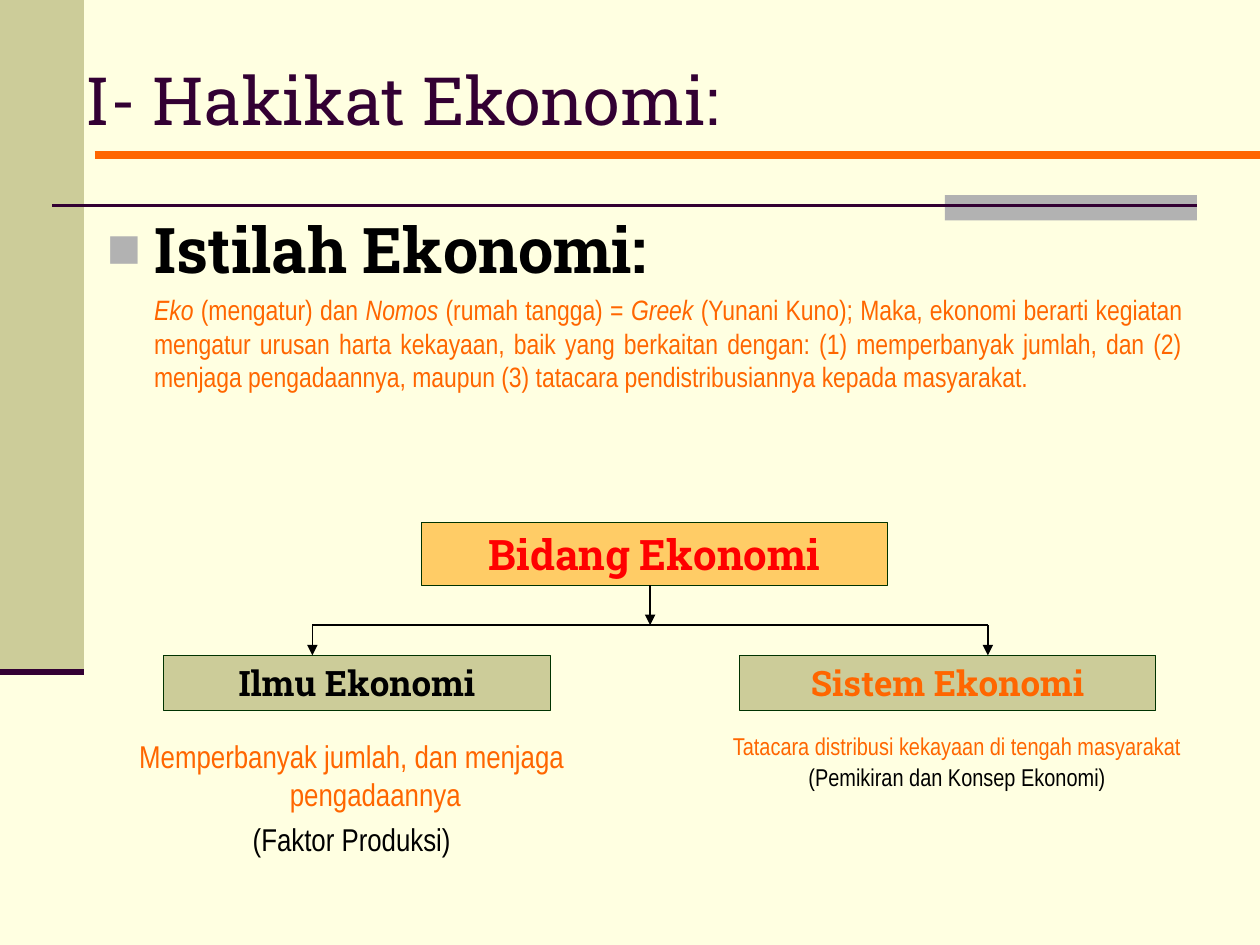
from pptx import Presentation
from pptx.util import Pt
from pptx.dml.color import RGBColor
from pptx.enum.shapes import MSO_SHAPE, MSO_CONNECTOR
from pptx.enum.text import MSO_ANCHOR, PP_ALIGN
from pptx.oxml.ns import qn
from lxml.etree import SubElement

HUE = {
    "cream": "FFFFE1", "khaki": "CCCC99", "gray": "B2B2B2", "plum": "330033",
    "orange": "FF6600", "gold": "FFCC66", "green": "003300", "red": "FF0000",
    "black": "000000",
}
SLAB, SANS = "Roboto Slab", "Arial Narrow"

deck = Presentation()
deck.slide_width, deck.slide_height = Pt(720), Pt(540)
slide = deck.slides.add_slide(deck.slide_layouts[6])
slide.background.fill.solid()
slide.background.fill.fore_color.rgb = RGBColor.from_string(HUE["cream"])


def rule(x1, y1, x2, y2, hue, width, arrow=False):
    line = slide.shapes.add_connector(
        MSO_CONNECTOR.STRAIGHT, Pt(x1), Pt(y1), Pt(x2), Pt(y2))
    line.line.color.rgb = RGBColor.from_string(HUE[hue])
    line.line.width = Pt(width)
    if arrow:
        SubElement(line.line._get_or_add_ln(), qn("a:tailEnd"), type="triangle")
    SubElement(line._element.spPr, qn("a:effectLst"))


def style(part, name, size, hue, bold=False):
    part.font.name, part.font.size, part.font.bold = name, Pt(size), bold
    part.font.color.rgb = RGBColor.from_string(HUE[hue])


# Side band and corner block
for x, y, w, h, hue in [(0, 0, 48, 384, "khaki"), (540, 111.5, 144, 14.5, "gray")]:
    block = slide.shapes.add_shape(MSO_SHAPE.RECTANGLE, Pt(x), Pt(y), Pt(w), Pt(h))
    block.shadow.inherit = False
    block.fill.solid()
    block.fill.fore_color.rgb = RGBColor.from_string(HUE[hue])
    block.line.fill.background()

# Rules
rule(30, 117.5, 684, 117.5, "plum", 1.5)
rule(0, 384, 48, 384, "plum", 3.5)
rule(54, 88.5, 720, 88.5, "orange", 4.5)

# Title
title = slide.shapes.add_textbox(Pt(42), Pt(26), Pt(454), Pt(61)).text_frame
title.word_wrap = True
title.vertical_anchor = MSO_ANCHOR.MIDDLE
title.text = "I- Hakikat Ekonomi:"
style(title.paragraphs[0].runs[0], SLAB, 38, "plum")

# Term and its meaning
body = slide.shapes.add_textbox(Pt(54), Pt(116.6), Pt(629), Pt(158)).text_frame
body.word_wrap = True
body.text = "Istilah Ekonomi:"
head = body.paragraphs[0]
props = head._p.get_or_add_pPr()
props.set("marL", str(Pt(27)))
props.set("indent", str(Pt(-27)))
color = SubElement(props, qn("a:buClr"))
SubElement(color, qn("a:srgbClr"), val=HUE["gray"])
SubElement(props, qn("a:buSzPct"), val="90000")
SubElement(props, qn("a:buFont"), typeface="Arial")
SubElement(props, qn("a:buChar"), char="■")
style(head.runs[0], SLAB, 36, "black", True)

note = body.add_paragraph()
note.alignment = PP_ALIGN.JUSTIFY
note.space_before = Pt(4)
note._p.get_or_add_pPr().set("marL", str(Pt(27)))
for text, slant in [
    ("Eko ", True), ("(mengatur) dan ", False),
    ("Nomos ", True), ("(rumah tangga) = ", False),
    ("Greek ", True),
    ("(Yunani Kuno); Maka, ekonomi berarti kegiatan mengatur urusan harta "
     "kekayaan, baik yang berkaitan dengan: (1) memperbanyak jumlah, dan (2) "
     "menjaga pengadaannya, maupun (3) tatacara pendistribusiannya kepada "
     "masyarakat.", False),
]:
    run = note.add_run()
    run.text = text
    style(run, SANS, 16, "orange")
    run.font.italic = slant

# Chart boxes
for text, x, y, w, h, fill, hue, size in [
    ("Bidang Ekonomi", 240.75, 298.5, 266.5, 36, "gold", "red", 24),
    ("Ilmu Ekonomi", 93.5, 374.5, 221, 31.5, "khaki", "black", 20),
    ("Sistem Ekonomi", 422.5, 374.5, 238, 31.5, "khaki", "orange", 20),
]:
    box = slide.shapes.add_shape(MSO_SHAPE.RECTANGLE, Pt(x), Pt(y), Pt(w), Pt(h))
    box.shadow.inherit = False
    box.fill.solid()
    box.fill.fore_color.rgb = RGBColor.from_string(HUE[fill])
    box.line.color.rgb = RGBColor.from_string(HUE["green"])
    box.line.width = Pt(0.5)
    frame = box.text_frame
    frame.vertical_anchor = MSO_ANCHOR.MIDDLE
    frame.text = text
    frame.paragraphs[0].alignment = PP_ALIGN.CENTER
    style(frame.paragraphs[0].runs[0], SLAB, size, hue, True)

# Branch lines
left, mid, right, bar = 178.5, 371.5, 564.5, 357.25
rule(left, bar, right, bar, "black", 0.75)
rule(mid, 334.5, mid, bar, "black", 0.75, True)
for x in (left, right):
    rule(x, bar, x, 374.5, "black", 0.75, True)

# Captions under the boxes
for x, w, h, size, space, lines in [
    (65, 272, 79, 18, 1,
     ["Memperbanyak jumlah, dan menjaga pengadaannya", "(Faktor Produksi)"]),
    (382.5, 329, 62.5, 13.9, 0.8,
     ["Tatacara distribusi kekayaan di tengah masyarakat",
      "(Pemikiran dan Konsep Ekonomi)"]),
]:
    frame = slide.shapes.add_textbox(Pt(x), Pt(417.5), Pt(w), Pt(h)).text_frame
    frame.word_wrap = True
    frame.text = "\n".join(lines)
    frame.paragraphs[1].space_before = Pt(4.5)
    for para, hue in zip(frame.paragraphs, ("orange", "black")):
        para.alignment = PP_ALIGN.CENTER
        para.line_spacing = space
        props = para._p.get_or_add_pPr()
        props.set("marL", str(Pt(27)))
        props.set("indent", str(Pt(-27)))
        style(para.runs[0], SANS, size, hue)

deck.save("out.pptx")
